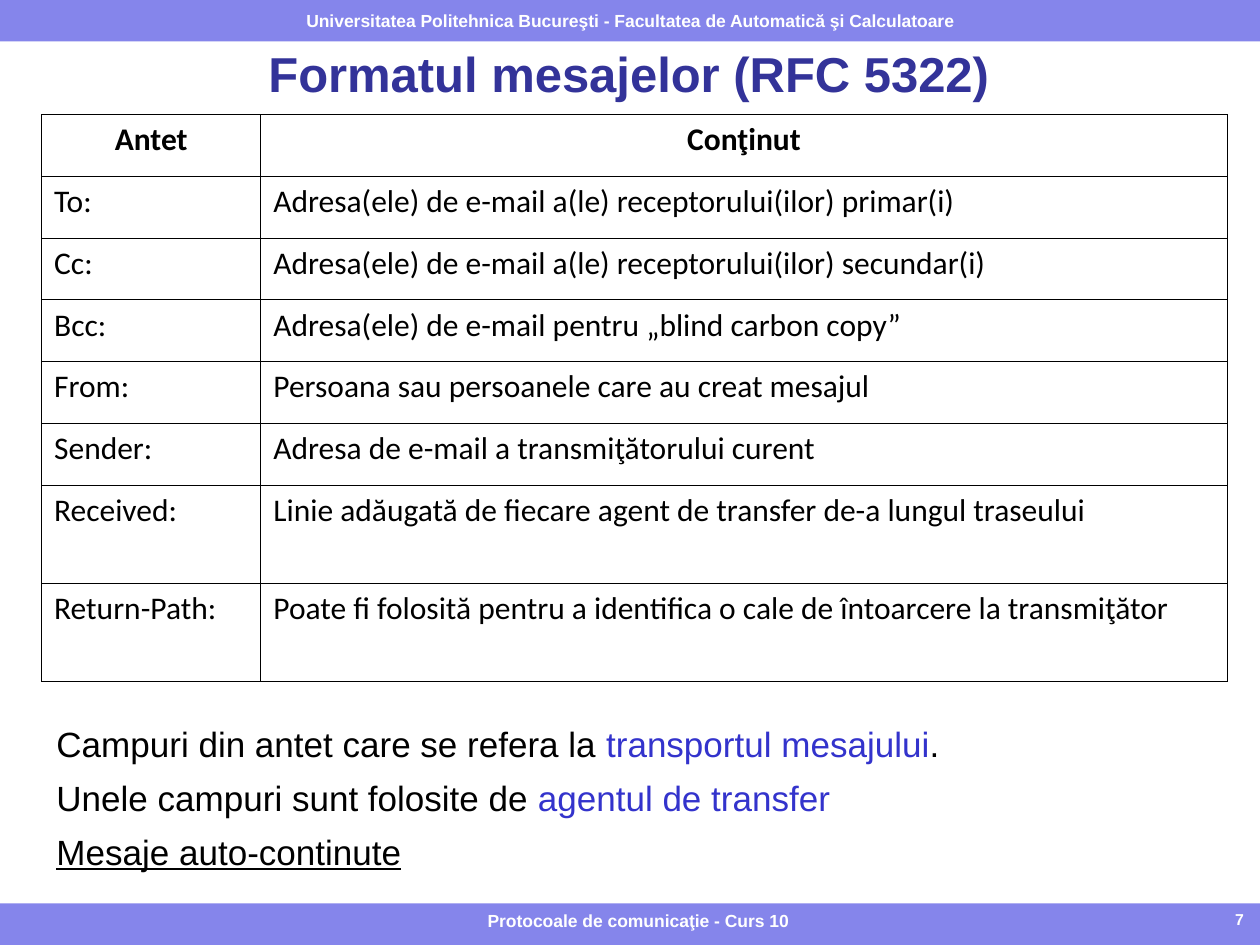
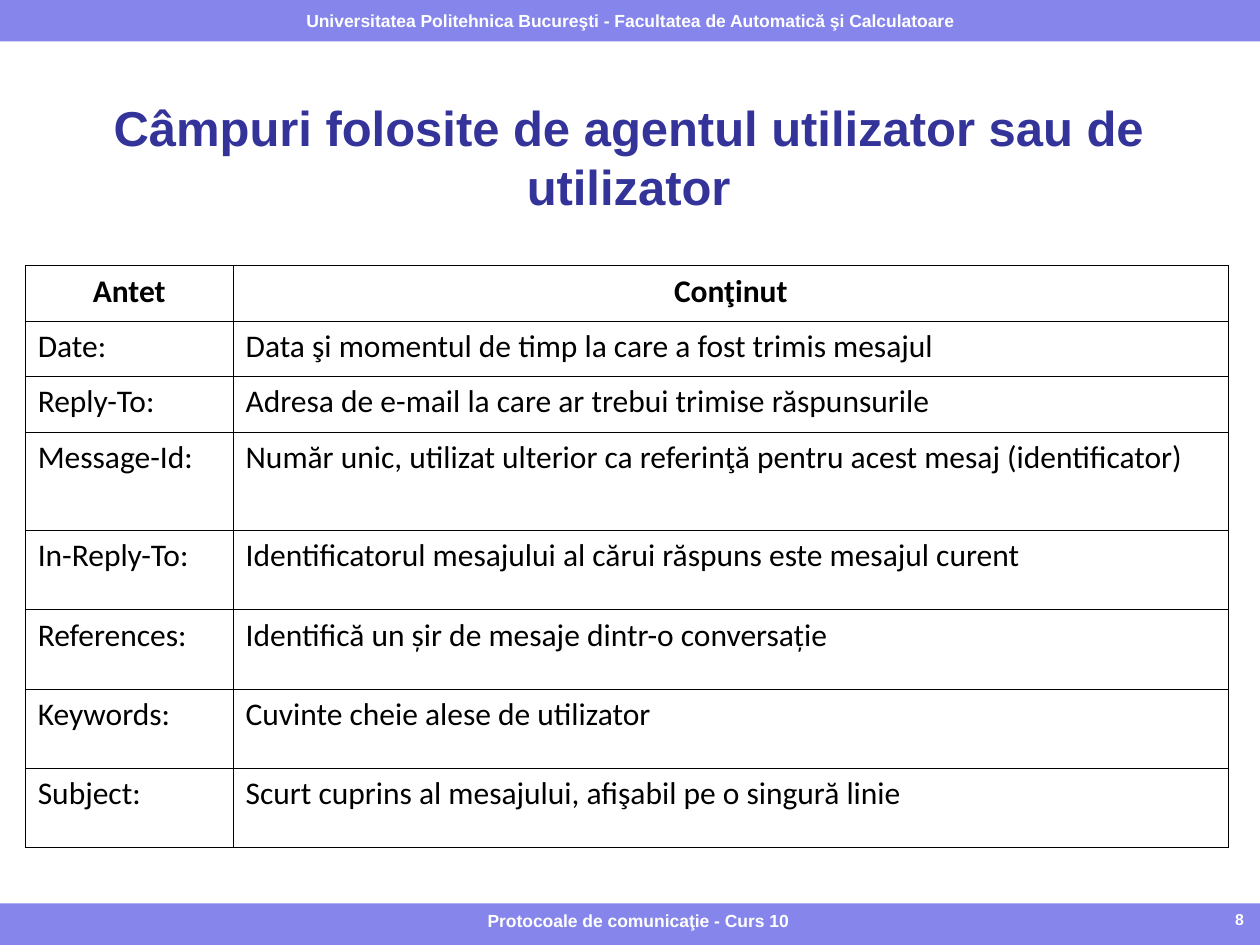
from dataclasses import dataclass

from lxml.etree import SubElement
from pptx import Presentation
from pptx.dml.color import RGBColor
from pptx.enum.shapes import MSO_SHAPE
from pptx.enum.text import MSO_ANCHOR as Anchor, PP_ALIGN as Align
from pptx.oxml.ns import qn
from pptx.util import Inches, Pt


@dataclass(frozen=True)
class Theme:
    band: str = "8585EB"
    title: str = "333399"
    accent: str = "3333CC"
    ink: str = "000000"
    paper: str = "FFFFFF"
    font: str = "Arial"
    table_font: str = "Calibri"
    title_size: float = 28
    body_size: float = 20
    table_size: float = 18
    band_size: float = 10
    number_size: float = 9
    border: float = 0.45


@dataclass(frozen=True)
class Box:
    left: float
    top: float
    width: float
    height: float

    def lengths(self) -> tuple:
        return tuple(map(Inches, (self.left, self.top, self.width, self.height)))


@dataclass(frozen=True)
class Span:
    text: str
    color: str = Theme.ink
    underline: bool = False


@dataclass(frozen=True)
class HeaderTable:
    left: float
    top: float
    columns: tuple[float, float]
    rows: tuple[tuple[float, str, str], ...]


@dataclass(frozen=True)
class Page:
    number: int
    title: str
    title_box: Box
    table: HeaderTable
    remarks: tuple[tuple[Span, ...], ...] = ()


THEME = Theme()
WIDTH, HEIGHT, BAND_HEIGHT = 10, 7.5, 0.33
FOOTER_TOP = HEIGHT - BAND_HEIGHT
TOP_BAND = Box(0, 0, WIDTH, BAND_HEIGHT)
BOTTOM_BAND = Box(0, FOOTER_TOP, WIDTH, BAND_HEIGHT)
FOOTER_BOX = Box(2.58, FOOTER_TOP, 4.97, 0.3)
NUMBER_BOX = Box(7.67, FOOTER_TOP, 2.3, 0.3)
REMARKS_BOX = Box(0.35, 5.75, 9.33, 1.31)
UNIVERSITY = "Universitatea Politehnica Bucureşti - Facultatea de Automatică şi Calculatoare"
COURSE = "Protocoale de comunicaţie - Curs 10"
COLUMN_HEADS = ("Antet", "Conţinut")

PAGES = (
    Page(
        7, "Formatul mesajelor (RFC 5322)", Box(0.42, 0.28, 9.14, 0.6),
        HeaderTable(0.33, 0.91, (1.74, 7.67), (
            (0.49, *COLUMN_HEADS),
            (0.49, "To:", "Adresa(ele) de e-mail a(le) receptorului(ilor) primar(i)"),
            (0.49, "Cc:", "Adresa(ele) de e-mail a(le) receptorului(ilor) secundar(i)"),
            (0.49, "Bcc:", "Adresa(ele) de e-mail pentru „blind carbon copy”"),
            (0.49, "From:", "Persoana sau persoanele care au creat mesajul"),
            (0.49, "Sender:", "Adresa de e-mail a transmiţătorului curent"),
            (0.78, "Received:",
             "Linie adăugată de fiecare agent de transfer de-a lungul traseului"),
            (0.78, "Return-Path:",
             "Poate fi folosită pentru a identifica o cale de întoarcere la transmiţător"),
        )),
        (
            (Span("Campuri din antet care se refera la "),
             Span("transportul mesajului", THEME.accent), Span(".")),
            (Span("Unele campuri sunt folosite de "),
             Span("agentul de transfer", THEME.accent)),
            (Span("Mesaje auto-continute", underline=True),),
        ),
    ),
    Page(
        8, "Câmpuri folosite de agentul utilizator sau de utilizator",
        Box(0.42, 0.84, 9.14, 0.8),
        HeaderTable(0.2, 2.11, (1.65, 7.9), (
            (0.44, *COLUMN_HEADS),
            (0.44, "Date:", "Data şi momentul de timp la care a fost trimis mesajul"),
            (0.44, "Reply-To:", "Adresa de e-mail la care ar trebui trimise răspunsurile"),
            (0.78, "Message-Id:",
             "Număr unic, utilizat ulterior ca referinţă pentru acest mesaj (identificator)"),
            (0.63, "In-Reply-To:",
             "Identificatorul mesajului al cărui răspuns este mesajul curent"),
            (0.63, "References:", "Identifică un șir de mesaje dintr-o conversație"),
            (0.63, "Keywords:", "Cuvinte cheie alese de utilizator"),
            (0.63, "Subject:", "Scurt cuprins al mesajului, afişabil pe o singură linie"),
        )),
    ),
)


def write(para, text: str, *, size: float, color: str = THEME.ink, font: str = THEME.font,
          bold: bool = False, underline: bool = False, align=None) -> None:
    """Append one formatted run to a paragraph."""
    if align is not None:
        para.alignment = align
    run = para.add_run()
    run.text = text
    run.font.size = Pt(size)
    run.font.name = font
    run.font.bold = bold
    run.font.underline = underline
    run.font.color.rgb = RGBColor.from_string(color)


def hang(para, indent: float) -> None:
    """Give a paragraph a hanging indent."""
    properties = para._p.get_or_add_pPr()
    properties.set("marL", str(Inches(indent)))
    properties.set("indent", str(Inches(-indent)))


def add_text_box(slide, box: Box, anchor=Anchor.TOP):
    frame = slide.shapes.add_textbox(*box.lengths()).text_frame
    frame.word_wrap = True
    frame.vertical_anchor = anchor
    return frame


def add_band(slide, box: Box):
    band = slide.shapes.add_shape(MSO_SHAPE.RECTANGLE, *box.lengths())
    band.shadow.inherit = False
    band.fill.solid()
    band.fill.fore_color.rgb = RGBColor.from_string(THEME.band)
    band.line.fill.background()
    return band


def add_bands(slide, number: int) -> None:
    add_band(slide, BOTTOM_BAND)
    frame = add_band(slide, TOP_BAND).text_frame
    frame.word_wrap = False
    frame.vertical_anchor = Anchor.MIDDLE
    for target, text, size, align in (
        (frame, UNIVERSITY, THEME.band_size, Align.CENTER),
        (add_text_box(slide, NUMBER_BOX), str(number), THEME.number_size, Align.RIGHT),
        (add_text_box(slide, FOOTER_BOX), COURSE, THEME.band_size, Align.CENTER),
    ):
        write(target.paragraphs[0], text, size=size, color=THEME.paper, bold=True, align=align)


def outline_cell(cell) -> None:
    properties = cell._tc.get_or_add_tcPr()
    for side in ("a:lnL", "a:lnR", "a:lnT", "a:lnB"):
        line = SubElement(properties, qn(side), w=str(Pt(THEME.border)))
        fill = SubElement(line, qn("a:solidFill"))
        SubElement(fill, qn("a:srgbClr"), val=THEME.ink)
    cell.fill.background()


def add_header_table(slide, spec_table: HeaderTable) -> None:
    rows, columns = spec_table.rows, spec_table.columns
    box = Box(spec_table.left, spec_table.top, sum(columns), sum(row[0] for row in rows))
    table = slide.shapes.add_table(len(rows), len(columns), *box.lengths()).table
    table.first_row = table.horz_banding = False
    for column, width in zip(table.columns, columns):
        column.width = Inches(width)
    for index, (height, *texts) in enumerate(rows):
        table.rows[index].height = Inches(height)
        is_head = index == 0
        for cell, text in zip(table.rows[index].cells, texts):
            outline_cell(cell)
            para = cell.text_frame.paragraphs[0]
            hang(para, 0.38)
            write(para, text, size=THEME.table_size, font=THEME.table_font, bold=is_head,
                  align=Align.CENTER if is_head else Align.JUSTIFY)


def add_remarks(slide, remarks: tuple[tuple[Span, ...], ...]) -> None:
    frame = add_text_box(slide, REMARKS_BOX)
    for index, spans in enumerate(remarks):
        para = frame.add_paragraph() if index else frame.paragraphs[0]
        hang(para, 0.34)
        para.line_spacing = 0.8
        para.space_before = para.space_after = Pt(5.8)
        for span in spans:
            write(para, span.text, size=THEME.body_size, color=span.color,
                  underline=span.underline)


def add_page(deck, page: Page) -> None:
    slide = deck.slides.add_slide(deck.slide_layouts[6])
    add_bands(slide, page.number)
    title = add_text_box(slide, page.title_box, Anchor.MIDDLE)
    write(title.paragraphs[0], page.title, size=THEME.title_size, color=THEME.title,
          bold=True, align=Align.CENTER)
    if page.remarks:
        add_remarks(slide, page.remarks)
    add_header_table(slide, page.table)


def main() -> None:
    deck = Presentation()
    deck.slide_width, deck.slide_height = Inches(WIDTH), Inches(HEIGHT)
    for page in PAGES:
        add_page(deck, page)
    deck.save("out.pptx")


if __name__ == "__main__":
    main()
